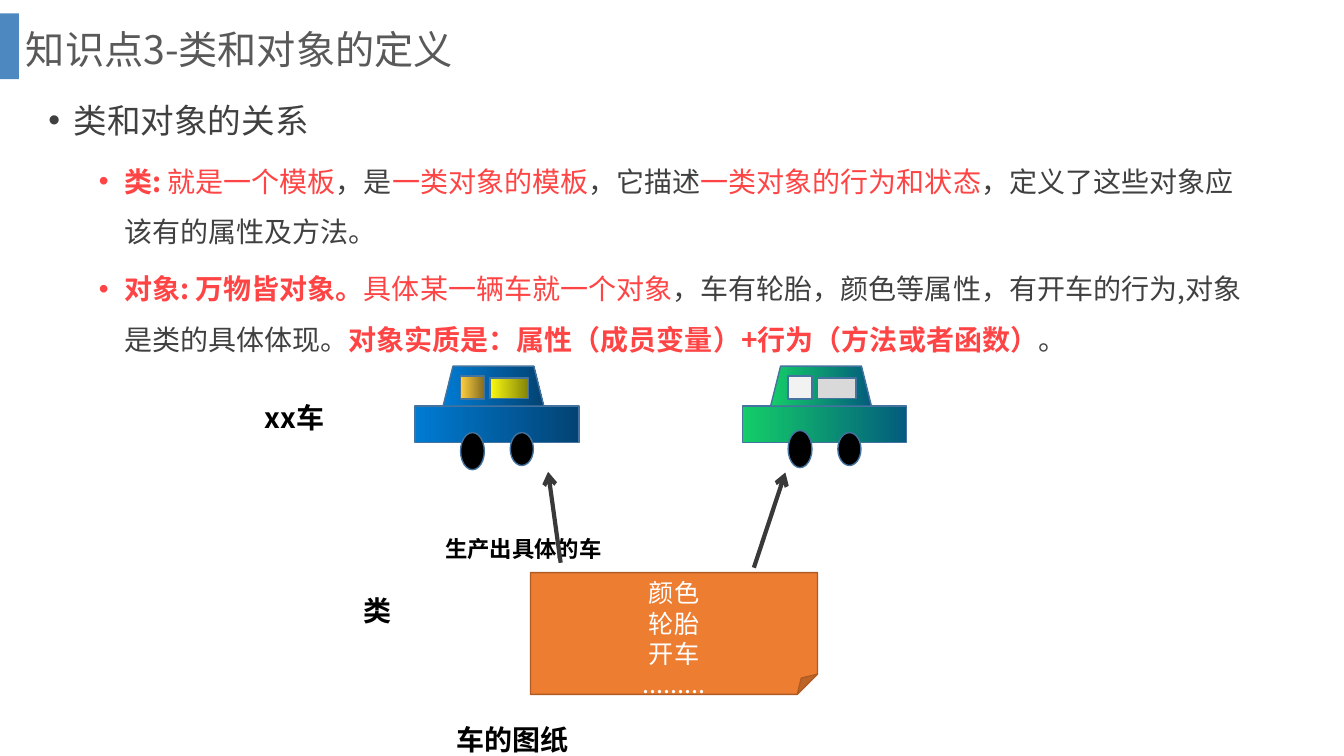
from lxml import etree
from pptx import Presentation
from pptx.dml.color import RGBColor
from pptx.enum import shapes, text
from pptx.oxml import ns
from pptx.util import Pt

FONT = "Noto Sans CJK SC"
WHITE = RGBColor(0xFF, 0xFF, 0xFF)
BLACK = RGBColor(0, 0, 0)
RED = RGBColor(0xFE, 0x44, 0x44)
DARK = RGBColor(0x40, 0x40, 0x40)
TITLE_GREY = RGBColor(0x59, 0x59, 0x59)
ARROW_GREY = RGBColor(0x39, 0x39, 0x39)
BAR_BLUE = RGBColor(0x2E, 0x75, 0xB6)
ORANGE = RGBColor(0xED, 0x7D, 0x31)
ORANGE_EDGE = RGBColor(0xAF, 0x5C, 0x24)
CAR_EDGE = RGBColor(0x43, 0x73, 0x9E)
BLUE_PAINT = (RGBColor(0x00, 0x7B, 0xD3), RGBColor(0x03, 0x43, 0x73))
GREEN_PAINT = (RGBColor(0x14, 0xCD, 0x68), RGBColor(0x03, 0x5C, 0x7D))
GOLD_GLASS = (RGBColor(0xFE, 0xCF, 0x40), RGBColor(0x84, 0x6C, 0x21))
YELLOW_GLASS = (RGBColor(0xFB, 0xFB, 0x11), RGBColor(0x83, 0x83, 0x09))
PALE_GLASS = (RGBColor(0xF2, 0xF2, 0xF2),)
GREY_GLASS = (RGBColor(0xD9, 0xD9, 0xD9),)
TYRE = (BLACK,)

deck = Presentation()
deck.slide_width, deck.slide_height = Pt(960), Pt(540)
slide = deck.slides.add_slide(deck.slide_layouts[6])


def add_part(kind, left, top, width, height, colours, edge=None):
    """Add a preset shape with a solid fill or a left-to-right gradient."""
    part = slide.shapes.add_shape(kind, Pt(left), Pt(top), Pt(width), Pt(height))
    part.shadow.inherit = False
    if len(colours) == 2:
        part.fill.gradient()
        part.fill.gradient_angle = 0
        for stop, colour, place in zip(part.fill.gradient_stops, colours, (0, 1)):
            stop.color.rgb = colour
            stop.position = place
    else:
        part.fill.solid()
        part.fill.fore_color.rgb = colours[0]
    if edge is None:
        part.line.fill.background()
    else:
        part.line.color.rgb = edge
        part.line.width = Pt(1)
    return part


def add_label(words, left, middle, width, size, colour, bold):
    """Add one line of text, centred vertically on the given height."""
    height = 24
    box = slide.shapes.add_textbox(Pt(left), Pt(middle - height / 2), Pt(width), Pt(height))
    frame = box.text_frame
    frame.word_wrap = True
    frame.margin_left = frame.margin_right = frame.margin_top = frame.margin_bottom = 0
    frame.vertical_anchor = text.MSO_ANCHOR.MIDDLE
    line = frame.paragraphs[0]
    line.text = words
    line.font.name, line.font.size = FONT, Pt(size)
    line.font.color.rgb, line.font.bold = colour, bold


RECT = shapes.MSO_SHAPE.RECTANGLE
OVAL = shapes.MSO_SHAPE.OVAL

# Title with its side bar
title_bar = add_part(RECT, 0, 9.5, 13.5, 47, (BAR_BLUE,))
bar_colour = title_bar.fill._xPr.find(".//" + ns.qn("a:srgbClr"))
etree.SubElement(bar_colour, ns.qn("a:alpha"), val="85000")
add_label("知识点3-类和对象的定义", 18.5, 34.5, 880, 28, TITLE_GREY, False)

# Explanation: indent, size, space before, runs of (words, colour, bold)
explanation = [
    (18, 24, 10, [("类和对象的关系", DARK, False)]),
    (54, 20, 5, [
        ("类: ", RED, True),
        ("就是一个模板", RED, False),
        ("，是", DARK, False),
        ("一类对象的模板", RED, False),
        ("，它描述", DARK, False),
        ("一类对象的行为和状态", RED, False),
        ("，定义了这些对象应该有的属性及方法。", DARK, False),
    ]),
    (54, 20, 5, [
        ("对象: 万物皆对象。", RED, True),
        ("具体某一辆车就一个对象", RED, False),
        ("，车有轮胎，颜色等属性，有开车的行为,对象是类的具体体现。", DARK, False),
        ("对象实质是：属性（成员变量）+行为（方法或者函数）", RED, True),
        ("。", DARK, False),
    ]),
]
body = slide.shapes.add_textbox(Pt(27.5), Pt(53.5), Pt(867.5), Pt(205)).text_frame
body.word_wrap = True
for number, (indent, size, gap, runs) in enumerate(explanation):
    point = body.add_paragraph() if number else body.paragraphs[0]
    point.line_spacing, point.space_before = 1.5, Pt(gap)
    point.font.name, point.font.size = FONT, Pt(size)
    settings = point._p.get_or_add_pPr()
    settings.set("marL", str(Pt(indent)))
    settings.set("indent", str(Pt(-18)))
    bullet_font = etree.Element(ns.qn("a:buFont"), typeface="Arial")
    bullet = etree.Element(ns.qn("a:buChar"), char="•")
    defaults = settings.find(ns.qn("a:defRPr"))
    defaults.addprevious(bullet_font)
    defaults.addprevious(bullet)
    for words, colour, bold in runs:
        run = point.add_run()
        run.text = words
        run.font.color.rgb, run.font.bold = colour, bold

# Diagram labels
for words, left, middle, size in [
    ("xx车", 189, 298, 20),
    ("生产出具体的车", 318, 391.5, 16),
    ("类", 259.5, 436, 20),
    ("车的图纸", 326, 528, 20),
]:
    add_label(words, left, middle, 160, size, BLACK, True)

# Blueprint
blueprint = add_part(shapes.MSO_SHAPE.FOLDED_CORNER, 379, 409, 205, 87, (ORANGE,), ORANGE_EDGE)
members = blueprint.text_frame
members.vertical_anchor = text.MSO_ANCHOR.TOP
members.text = "颜色\n轮胎\n开车\n........."
for member in members.paragraphs:
    member.alignment = text.PP_ALIGN.CENTER
    member.font.name, member.font.size = FONT, Pt(18)
    member.font.color.rgb = WHITE

# Cars: left edge, paint, small window, large window, front wheel top
for left, paint, small_glass, large_glass, wheel_top in [
    (530.5, GREEN_PAINT, PALE_GLASS, GREY_GLASS, 307.5),
    (296.5, BLUE_PAINT, GOLD_GLASS, YELLOW_GLASS, 309),
]:
    for kind, across, top, width, height, colours in [
        (RECT, 0, 290, 117, 26, paint),
        (shapes.MSO_SHAPE.TRAPEZOID, 20, 261.5, 72, 28.5, paint),
        (RECT, 32.5, 268.5, 17, 16.5, small_glass),
        (RECT, 53.5, 270, 27.5, 14.5, large_glass),
        (OVAL, 32.5, wheel_top, 17, 26.5, TYRE),
        (OVAL, 68, 309, 16.5, 23.5, TYRE),
    ]:
        add_part(kind, left + across, top, width, height, colours, CAR_EDGE)

# Arrows from the blueprint to the cars
for ends in [(400.5, 402, 391.5, 337), (538.5, 405.5, 561, 337.5)]:
    arrow = slide.shapes.add_connector(shapes.MSO_CONNECTOR.STRAIGHT, *map(Pt, ends))
    arrow.line.color.rgb, arrow.line.width = ARROW_GREY, Pt(3)
    etree.SubElement(arrow.line._get_or_add_ln(), ns.qn("a:tailEnd"), type="arrow")
    etree.SubElement(arrow._element.spPr, ns.qn("a:effectLst"))

deck.save("out.pptx")
